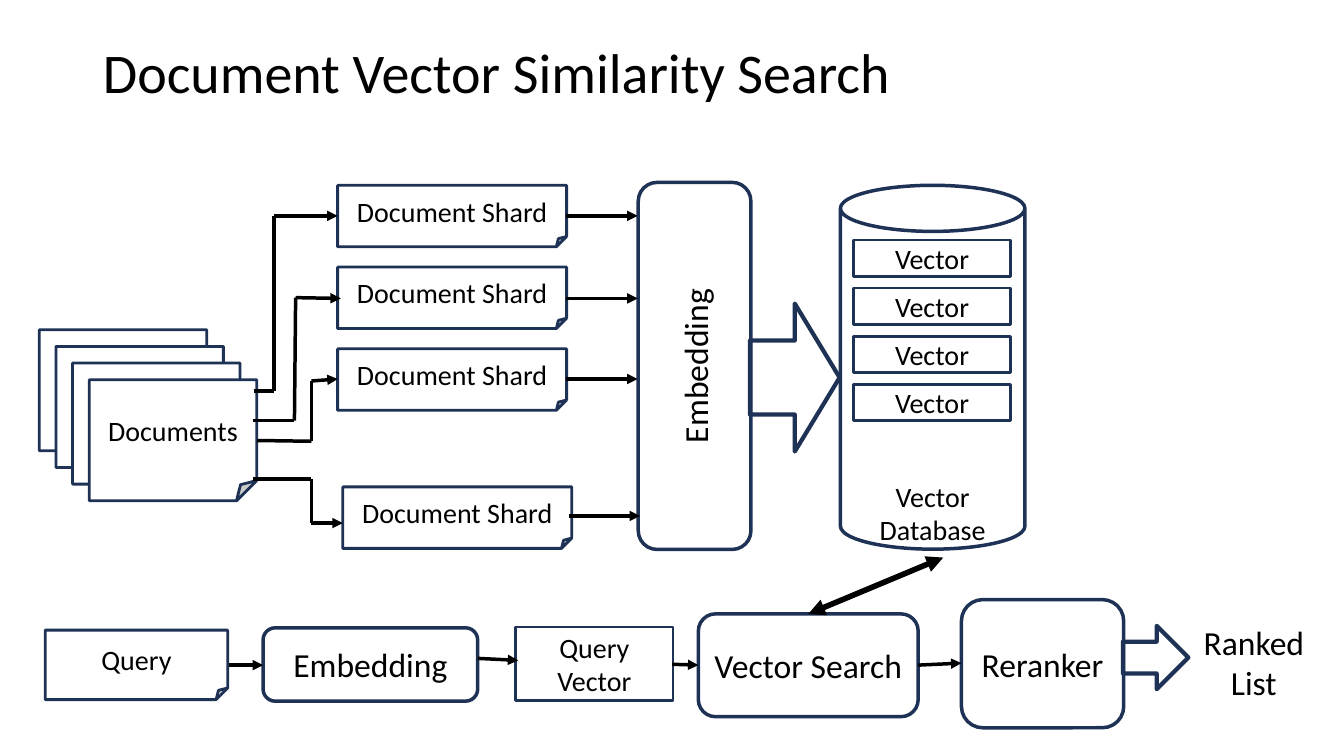
from dataclasses import dataclass
from itertools import pairwise

from lxml.etree import SubElement
from pptx import Presentation
from pptx.dml.color import RGBColor
from pptx.enum.shapes import MSO_CONNECTOR, MSO_SHAPE
from pptx.enum.text import MSO_ANCHOR, MSO_AUTO_SIZE, PP_ALIGN
from pptx.oxml.ns import qn
from pptx.util import Cm, Pt


@dataclass(frozen=True)
class Theme:
    font: str = "Calibri"
    ink: str = "000000"
    edge: str = "1E3256"
    paper: str = "FFFFFF"
    title: int = 40
    large: int = 24
    small: int = 20
    thin: float = 2
    mid: float = 2.5
    thick: float = 3
    bold: float = 4


THEME = Theme()
PAGE, BOX, ROUND = MSO_SHAPE.FOLDED_CORNER, MSO_SHAPE.RECTANGLE, MSO_SHAPE.ROUNDED_RECTANGLE
CAN, ARROW = MSO_SHAPE.CAN, MSO_SHAPE.RIGHT_ARROW

# Content: lengths in cm, boxes as left, top, width, height
TITLE = "Document Vector Similarity Search"
STACK = ["", "", "", "Documents"]
SHARD = "Document Shard"
SHARDS = [(8.51, 4.67 + 2.06 * row) for row in range(3)] + [(8.64, 12.27)]
VECTORS = ["Vector"] * 4
ROUTES = [
    [(6.4, 9.85), (6.91, 9.85), (6.91, 5.44), (8.51, 5.44)],
    [(6.38, 10.6), (7.42, 10.6), (7.45, 7.5), (8.59, 7.52)],
    [(6.48, 11.1), (7.85, 11.12), (7.85, 9.6), (8.51, 9.55)],
    [(6.38, 12.07), (7.85, 12.07), (7.85, 13.18), (8.64, 13.18)],
]
FEEDS = [(14.27, 5.44), (14.27, 7.52), (14.27, 9.55), (14.33, 13.0)]
FLOW = [
    (PAGE, "Query", (1.14, 15.88, 4.6, 1.75), THEME.small, THEME.thin),
    (ROUND, "Embedding", (6.63, 15.82, 5.41, 1.85), THEME.large, THEME.mid),
    (BOX, "Query Vector", (13.0, 15.8, 3.96, 1.85), THEME.small, THEME.thin),
    (ROUND, "Vector Search", (17.6, 15.47, 5.54, 2.59), THEME.large, THEME.mid),
    (ROUND, "Reranker", (24.23, 15.11, 4.09, 3.23), THEME.large, THEME.mid),
    (ARROW, "", (28.3, 15.77, 1.65, 1.6), THEME.large, THEME.thick),
    (ROUND, "Ranked List", (29.77, 15.06, 3.66, 3.23), THEME.large, 0),
]
LINKS = [
    [(5.77, 16.76), (6.63, 16.76)],
    [(12.04, 16.59), (13.06, 16.64)],
    [(16.94, 16.74), (17.6, 16.76)],
    [(23.14, 16.76), (24.23, 16.71)],
]


def color(code):
    return RGBColor.from_string(code)


def write(shape, text, size=THEME.small, align=PP_ALIGN.CENTER):
    frame = shape.text_frame
    frame.auto_size = MSO_AUTO_SIZE.NONE
    frame.word_wrap = True
    frame.vertical_anchor = MSO_ANCHOR.MIDDLE
    para = frame.paragraphs[0]
    para.alignment = align
    run = para.add_run()
    run.text = text
    run.font.name = THEME.font
    run.font.size = Pt(size)
    run.font.color.rgb = color(THEME.ink)


def draw(slide, kind, box, text="", size=THEME.small, width=THEME.thin, turn=0):
    shape = slide.shapes.add_shape(kind, *map(Cm, box))
    shape.shadow.inherit = False
    shape.rotation = turn
    if kind == PAGE:
        shape.fill.solid()
        shape.fill.fore_color.rgb = color(THEME.paper)
    else:
        shape.fill.background()
    if width:
        shape.line.color.rgb = color(THEME.edge)
        shape.line.width = Pt(width)
    else:
        shape.line.fill.background()
    if text:
        write(shape, text, size=size)


def link(slide, start, end, width=THEME.mid, heads=("tailEnd",)):
    line = slide.shapes.add_connector(MSO_CONNECTOR.STRAIGHT, *map(Cm, start + end))
    line.line.color.rgb = color(THEME.ink)
    line.line.width = Pt(width)
    for head in heads:
        SubElement(line.line._get_or_add_ln(), qn(f"a:{head}"), type="triangle")
    SubElement(line._element.spPr, qn("a:effectLst"))


def main():
    deck = Presentation()
    deck.slide_width, deck.slide_height = Cm(33.87), Cm(19.05)
    slide = deck.slides.add_slide(deck.slide_layouts[5])

    # Title
    title = slide.shapes.title
    title.left, title.top, title.width, title.height = map(Cm, (2.34, 0.61, 29.21, 2.59))
    write(title, TITLE, size=THEME.title, align=PP_ALIGN.LEFT)
    title.text_frame.paragraphs[0].line_spacing = 0.9

    # Documents and their shards
    for step, text in enumerate(STACK):
        draw(slide, PAGE, (0.99 + 0.42 * step, 8.31 + 0.42 * step, 4.22, 3.05), text)
    for left, top in SHARDS:
        draw(slide, PAGE, (left, top, 5.77, 1.55), SHARD)
    for route in ROUTES:
        for start, end in pairwise(route):
            link(slide, start, end, heads=("tailEnd",) if end == route[-1] else ())

    # Vector database
    draw(slide, CAN, (21.18, 4.67, 4.65, 9.17), width=THEME.mid)
    for row, text in enumerate(VECTORS):
        draw(slide, BOX, (21.51, 6.05 + 1.21 * row, 3.96, 0.91), text)
    label = slide.shapes.add_textbox(*map(Cm, (21.18, 12.55, 4.65, 0.74)))
    write(label, "Vector Database")

    # Embedding of shards
    draw(slide, ROUND, (12.88, 7.8, 9.25, 2.84), "Embedding",
         size=THEME.large, width=THEME.mid, turn=270)
    draw(slide, ARROW, (18.9, 7.65, 2.26, 3.73), width=THEME.thick)
    for left, top in FEEDS:
        link(slide, (left, top), (left + 1.8, top))

    # Query flow
    for kind, text, box, size, width in FLOW:
        draw(slide, kind, box, text, size=size, width=width)
    for start, end in LINKS:
        link(slide, start, end)
    link(slide, (23.77, 14.05), (20.37, 15.47), width=THEME.bold, heads=("headEnd", "tailEnd"))

    deck.save("out.pptx")


if __name__ == "__main__":
    main()
